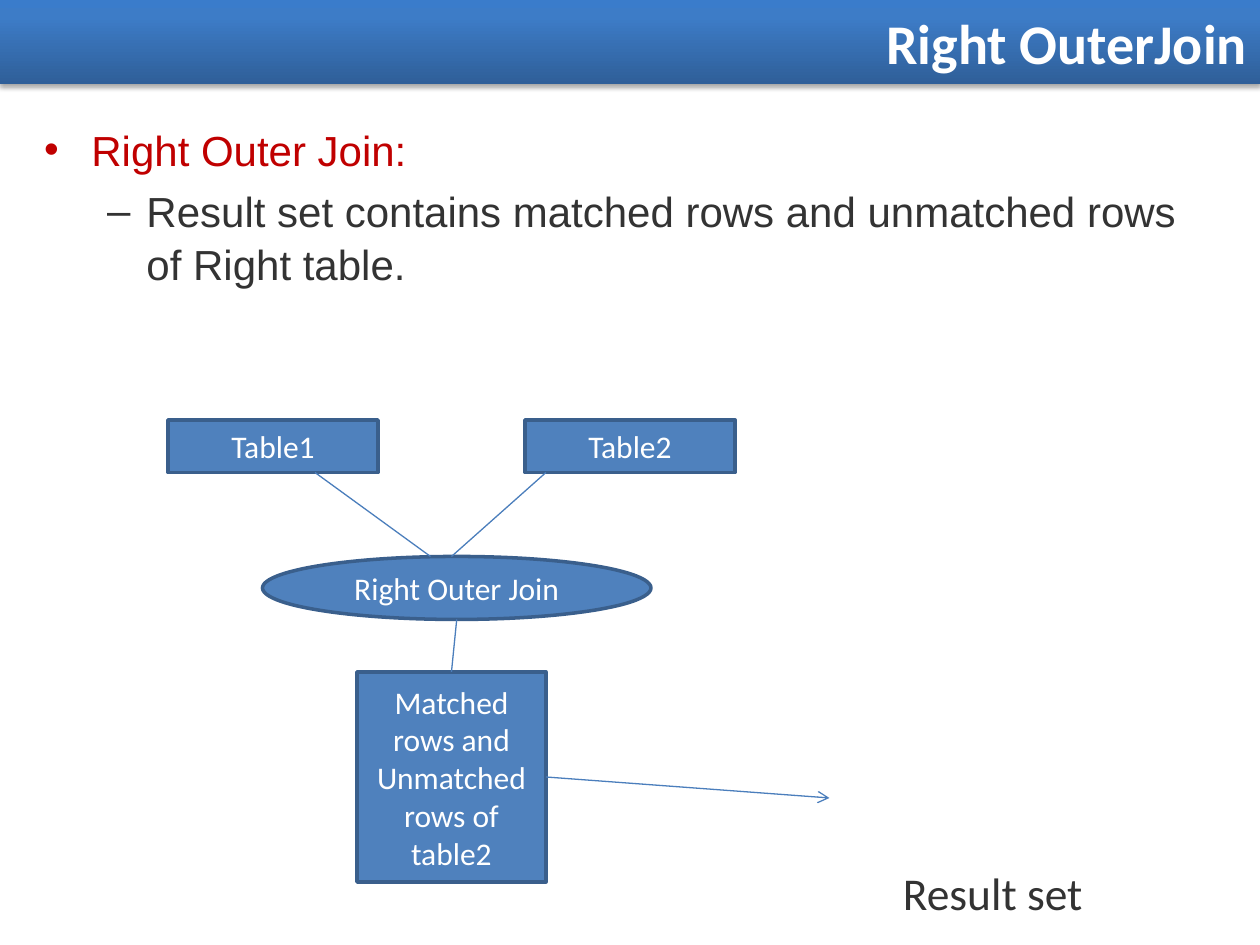
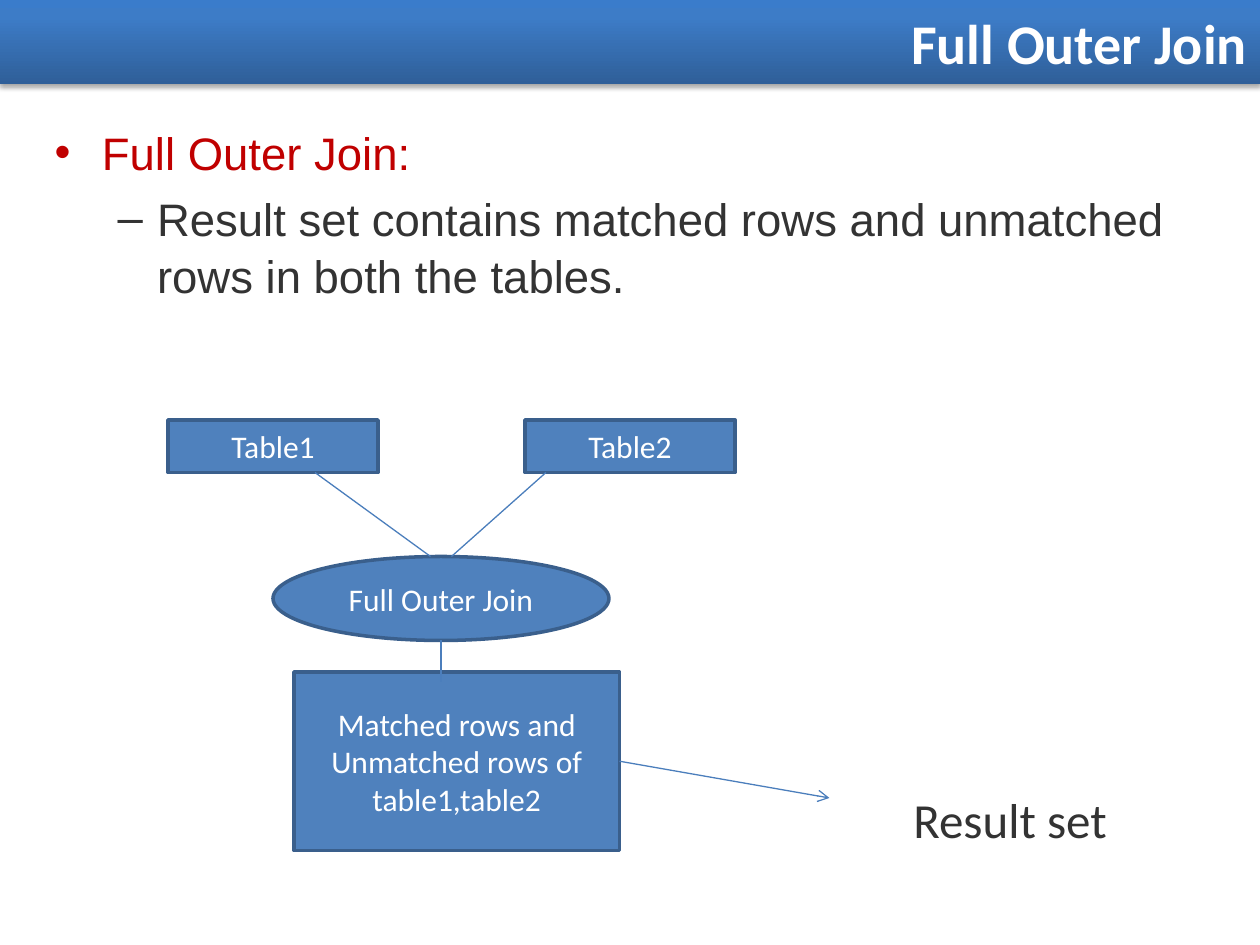
import pptx
import pptx.dml.color
import pptx.enum.shapes
import pptx.enum.text
import pptx.oxml
import pptx.oxml.ns
import pptx.util
from lxml import etree

Pt = pptx.util.Pt
SHAPES = pptx.enum.shapes.MSO_SHAPE
ALIGN = pptx.enum.text.PP_ALIGN
MIDDLE = pptx.enum.text.MSO_ANCHOR.MIDDLE

COLUMNS, ROWS = 120, 90
UNIT = pptx.util.Inches(10) // COLUMNS

RED, INK, WHITE = "C00000", "333333", "FFFFFF"
NODE_FILL, NODE_EDGE, LINK = "4F81BD", "3A5F8C", "4B7EBC"
BAND_STOPS = [(0, "2F5F99"), (80, "3D7CC7"), (100, "3A7CCB")]

# Places are in grid units: left, top, width, height.
BAND = (0, 0, COLUMNS, 8)
TABLES = [("Table1", (16, 40, 20, 5)), ("Table2", (50, 40, 20, 5))]
TABLE_LINKS = [((30, 45), (41, 53)), ((52, 45), (43, 53))]
ARROW_TIP = (79, 76)

SLIDES = [
    {
        "title": "Right OuterJoin",
        "heading": "Right Outer Join:",
        "detail": "Result set contains matched rows and unmatched rows of Right table.",
        "body": (3, 11, 111, 24),
        "body_size": 24,
        "join": ("Right Outer Join", (25, 53, 37, 6)),
        "rows": ("Matched rows and Unmatched rows of table2", (34, 64, 18, 20)),
        "stem_end": None,
        "label": (86, 82, 24, 6),
        "label_size": 26,
    },
    {
        "title": "Full Outer Join",
        "heading": "Full Outer Join:",
        "detail": "Result set contains matched rows and unmatched rows in both the tables.",
        "body": (4, 11, 110, 24),
        "body_size": 26,
        "join": ("Full Outer Join", (26, 53, 32, 8)),
        "rows": ("Matched rows and Unmatched rows of table1,table2", (28, 64, 31, 17)),
        "stem_end": (42, 65),
        "label": (87, 75, 24, 6),
        "label_size": 28,
    },
]


def color(hex_code):
    return pptx.dml.color.RGBColor.from_string(hex_code)


def units(values):
    return [round(value * UNIT) for value in values]


def move(shape, place):
    shape.left, shape.top, shape.width, shape.height = units(place)


def style(para, size, hex_code, name="Calibri", bold=False):
    para.font.size = Pt(size)
    para.font.name = name
    para.font.bold = bold
    para.font.color.rgb = color(hex_code)


def add_xml(parent, xml):
    """Append a fragment whose root is in the drawing namespace."""
    root, rest = xml.split(">", 1)
    space = pptx.oxml.ns.nsdecls("a")
    parent.append(pptx.oxml.parse_xml(f"{root} {space}>{rest}"))


def fill_title(page, text):
    """Turn the title placeholder into the shaded band."""
    band = page.shapes.title
    move(band, BAND)
    stops = "".join(
        f'<a:gs pos="{share * 1000}"><a:srgbClr val="{code}"/></a:gs>'
        for share, code in BAND_STOPS)
    look = band.element.spPr
    add_xml(look, f'<a:gradFill rotWithShape="1"><a:gsLst>{stops}</a:gsLst>'
                  '<a:lin ang="16200000" scaled="0"/></a:gradFill>')
    add_xml(look, f'<a:effectLst><a:outerShdw blurRad="{Pt(3.1)}" dist="{Pt(1.8)}" '
                  'dir="5400000" rotWithShape="0"><a:srgbClr val="000000">'
                  '<a:alpha val="35000"/></a:srgbClr></a:outerShdw></a:effectLst>')
    frame = band.text_frame
    frame.text = text
    frame.auto_size = pptx.enum.text.MSO_AUTO_SIZE.NONE
    frame.vertical_anchor = MIDDLE
    para = frame.paragraphs[0]
    para.alignment = ALIGN.RIGHT
    style(para, 32, WHITE, bold=True)


def fill_body(page, content):
    body = page.placeholders[1]
    move(body, content["body"])
    frame = body.text_frame
    frame.auto_size = pptx.enum.text.MSO_AUTO_SIZE.NONE
    size = content["body_size"]
    heading, detail = frame.paragraphs[0], frame.add_paragraph()
    heading.text, detail.text = content["heading"], content["detail"]
    detail.level = 1
    for para, hex_code, gap in ((heading, RED, 0), (detail, INK, size * 0.2)):
        para.space_before = Pt(gap)
        para.line_spacing = 1.05
        style(para, size, hex_code, "Arial")


def add_node(page, text, place, kind=SHAPES.RECTANGLE):
    node = page.shapes.add_shape(kind, *units(place))
    node.shadow.inherit = False
    node.fill.solid()
    node.fill.fore_color.rgb = color(NODE_FILL)
    node.line.color.rgb = color(NODE_EDGE)
    node.line.width = Pt(2)
    frame = node.text_frame
    frame.text = text
    frame.word_wrap = True
    frame.vertical_anchor = MIDDLE
    para = frame.paragraphs[0]
    para.alignment = ALIGN.CENTER
    style(para, 18, WHITE)
    return node


def add_link(page, start, end, arrow=False):
    link = page.shapes.add_connector(
        pptx.enum.shapes.MSO_CONNECTOR.STRAIGHT, *units(start + end))
    link.line.color.rgb = color(LINK)
    link.line.width = Pt(0.75)
    if arrow:
        tail = etree.SubElement(link.line._get_or_add_ln(), pptx.oxml.ns.qn("a:tailEnd"))
        tail.set("type", "arrow")
    add_xml(link.element.spPr, "<a:effectLst></a:effectLst>")
    return link


def add_label(page, text, place, size):
    box = page.shapes.add_textbox(*units(place))
    frame = box.text_frame
    frame.word_wrap = True
    frame.vertical_anchor = MIDDLE
    frame.margin_left = frame.margin_right = 0
    frame.text = text
    style(frame.paragraphs[0], size, INK)


def add_diagram(page, content):
    for text, place in TABLES:
        add_node(page, text, place)
    add_node(page, *content["join"], SHAPES.OVAL)
    for start, end in TABLE_LINKS:
        add_link(page, start, end)
    rows = add_node(page, *content["rows"])

    left, top, width, height = content["join"][1]
    stem_start = (left + width / 2, top + height)
    stem = add_link(page, stem_start, content["stem_end"] or stem_start)
    if content["stem_end"] is None:
        stem.end_connect(rows, 0)

    arrow = add_link(page, ARROW_TIP, ARROW_TIP, arrow=True)
    arrow.begin_connect(rows, 3)
    add_label(page, "Result set", content["label"], content["label_size"])


def main():
    deck = pptx.Presentation()
    deck.slide_width, deck.slide_height = units((COLUMNS, ROWS))
    for content in SLIDES:
        page = deck.slides.add_slide(deck.slide_layouts[1])
        fill_title(page, content["title"])
        fill_body(page, content)
        add_diagram(page, content)
    deck.save("out.pptx")


if __name__ == "__main__":
    main()
